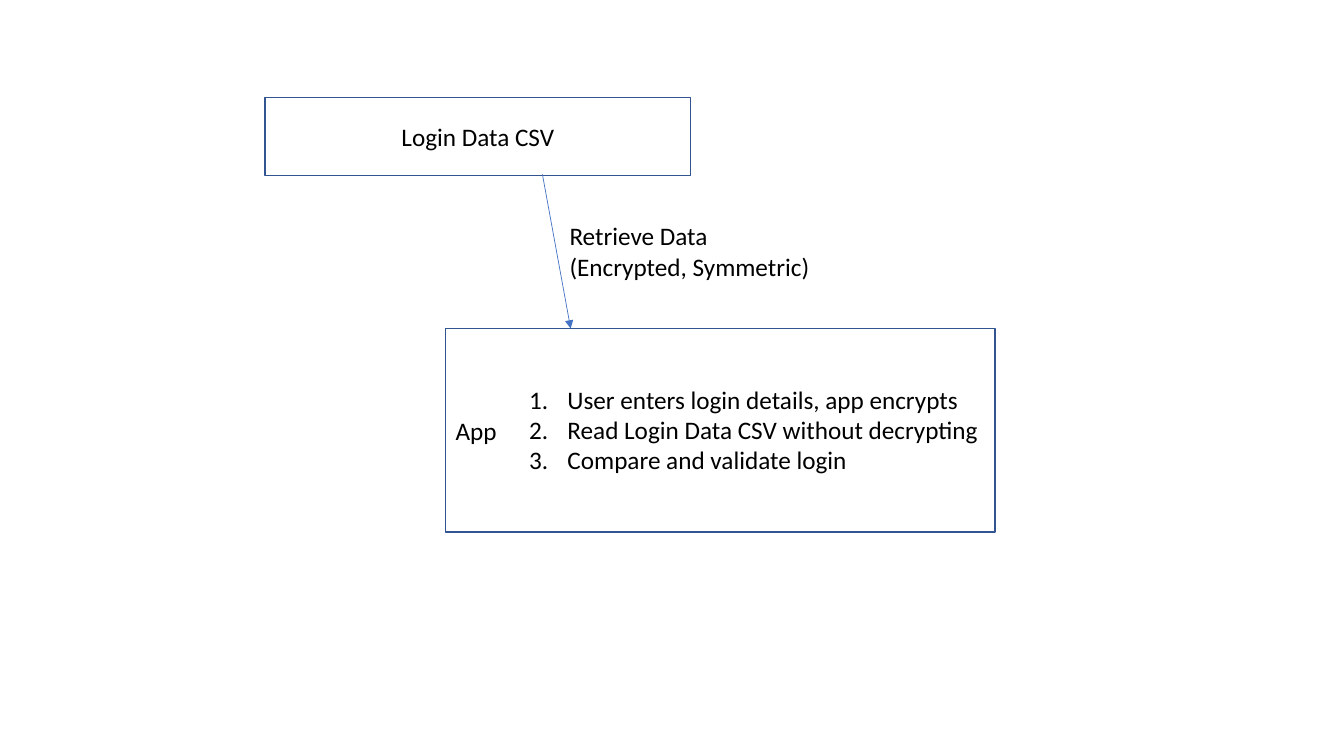
from lxml import etree
from pptx import Presentation
from pptx.dml.color import RGBColor
from pptx.enum import shapes, text
from pptx.oxml import ns
from pptx.util import Inches, Pt

BLACK = RGBColor(0x00, 0x00, 0x00)
WHITE = RGBColor(0xFF, 0xFF, 0xFF)
BOX_LINE = RGBColor(0x32, 0x54, 0x91)
ARROW_BLUE = RGBColor(0x44, 0x72, 0xC4)


def write_text(shape, lines, align=text.PP_ALIGN.LEFT, anchor=text.MSO_ANCHOR.TOP, numbered=False):
    frame = shape.text_frame
    frame.word_wrap = True
    frame.vertical_anchor = anchor
    for index, line in enumerate(lines):
        paragraph = frame.paragraphs[0] if index == 0 else frame.add_paragraph()
        paragraph.text = line
        paragraph.alignment = align
        for run in paragraph.runs:
            run.font.name = "Calibri"
            run.font.size = Pt(18)
            run.font.color.rgb = BLACK
        if numbered:
            properties = paragraph._p.get_or_add_pPr()
            properties.set("marL", str(Inches(0.38)))
            properties.set("indent", str(-Inches(0.38)))
            etree.SubElement(properties, ns.qn("a:buFont"), typeface="+mj-lt")
            etree.SubElement(properties, ns.qn("a:buAutoNum"), type="arabicPeriod")


presentation = Presentation()
presentation.slide_width = Inches(13.33)
presentation.slide_height = Inches(7.5)
slide = presentation.slides.add_slide(presentation.slide_layouts[6])

# Boxes: the app and its login data
for label, bounds, align in [
    ("App", (4.42, 3.26, 5.45, 2.02), text.PP_ALIGN.LEFT),
    ("Login Data CSV", (2.63, 0.97, 4.22, 0.77), text.PP_ALIGN.CENTER),
]:
    box = slide.shapes.add_shape(shapes.MSO_SHAPE.RECTANGLE, *map(Inches, bounds))
    box.shadow.inherit = False
    box.fill.solid()
    box.fill.fore_color.rgb = WHITE
    box.line.color.rgb = BOX_LINE
    box.line.width = Pt(1)
    write_text(box, [label], align=align, anchor=text.MSO_ANCHOR.MIDDLE)

# Numbered login steps
steps = slide.shapes.add_textbox(*map(Inches, (5.15, 3.76, 4.73, 1.01)))
write_text(steps, [
    "User enters login details, app encrypts",
    "Read Login Data CSV without decrypting",
    "Compare and validate login",
], numbered=True)

# Arrow from the login data to the app
arrow = slide.shapes.add_connector(
    shapes.MSO_CONNECTOR.STRAIGHT, *map(Inches, (5.38, 1.73, 5.66, 3.26)))
arrow.line.color.rgb = ARROW_BLUE
arrow.line.width = Pt(0.5)
etree.SubElement(arrow.line._get_or_add_ln(), ns.qn("a:tailEnd"), type="triangle")
etree.SubElement(arrow._element.spPr, ns.qn("a:effectLst"))

# Arrow label
arrow_label = slide.shapes.add_textbox(*map(Inches, (5.55, 2.14, 3.18, 0.71)))
write_text(arrow_label, ["Retrieve Data\v(Encrypted, Symmetric)"])

presentation.save("out.pptx")
